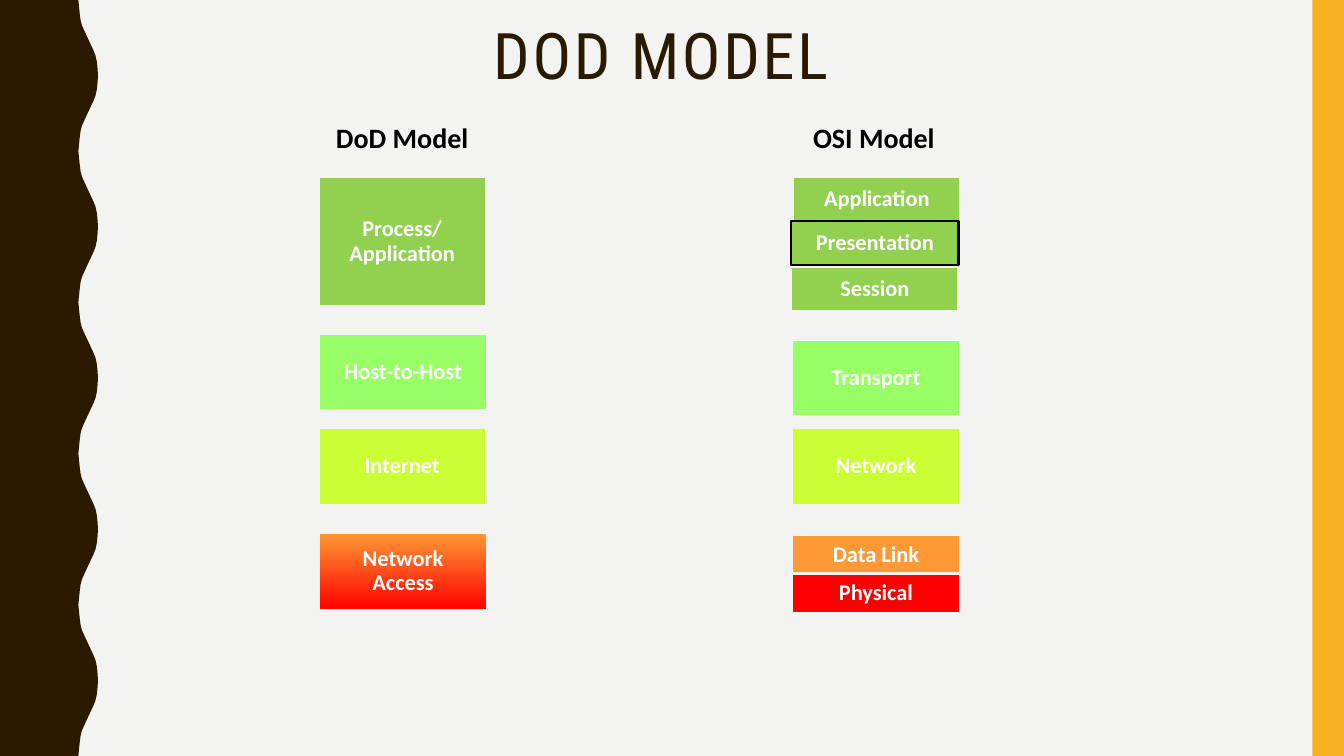
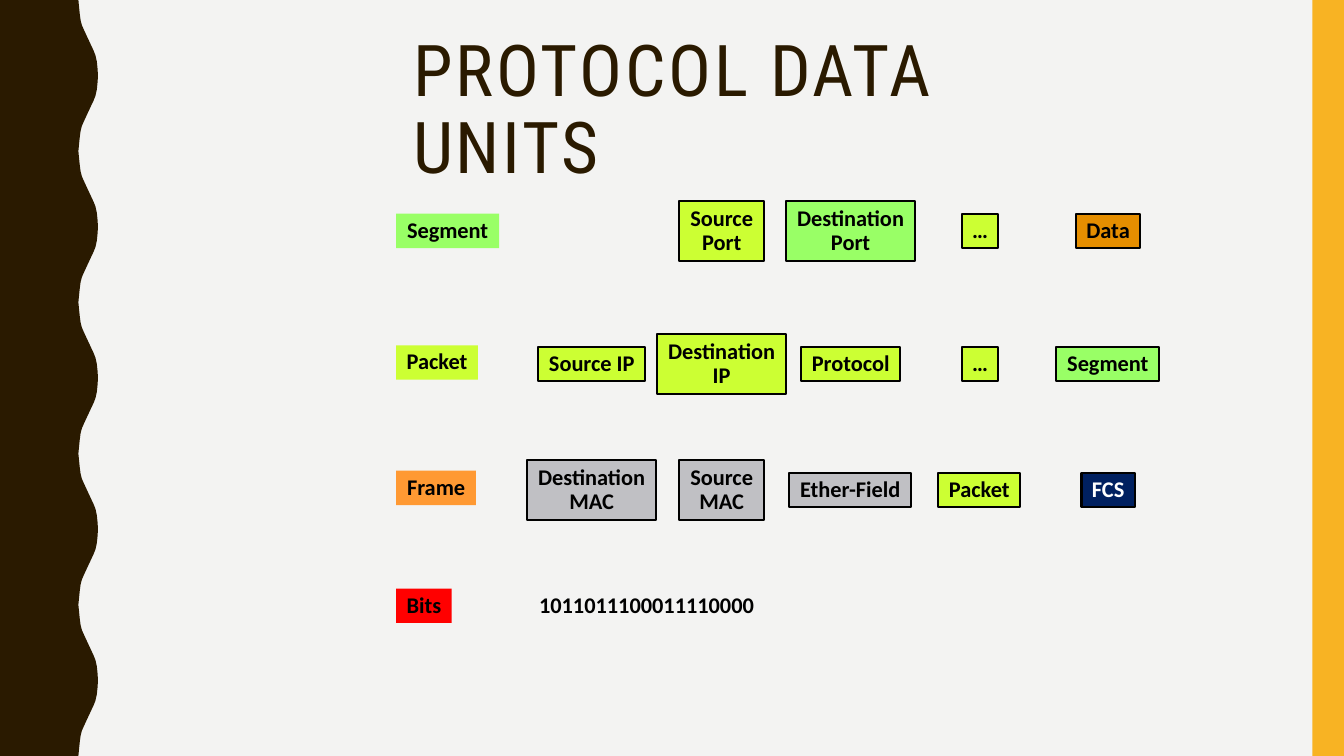
"""Build two slides on the DoD model and protocol data units."""
from pptx import Presentation
from pptx import util as u
from pptx.dml import color
from pptx.enum import shapes, text

DARK, GOLD, PAPER = "2A1A00", "F8B323", "F3F3F2"
BLACK, WHITE, GREY, NAVY = "000000", "FFFFFF", "C0C0C4", "002060"
LEAF, MINT, LIME = "92D050", "99FF66", "CCFF33"
ORANGE, RED, AMBER = "FF9933", "FF0000", "E58E00"
RECTANGLE = shapes.MSO_SHAPE.RECTANGLE
CENTER, LEFT = text.PP_ALIGN.CENTER, text.PP_ALIGN.LEFT


def rgb(value):
    return color.RGBColor.from_string(value)


def add_box(page, words, left, top, width, height, fill=None, line=None,
            ink=BLACK, size=16, font="Calibri", bold=True, align=CENTER):
    frame_at = [u.Pt(v) for v in (left, top, width, height)]
    if fill:
        box = page.shapes.add_shape(RECTANGLE, *frame_at)
        box.shadow.inherit = False
        box.fill.solid()
        box.fill.fore_color.rgb = rgb(fill)
        if line:
            box.line.color.rgb = rgb(line)
            box.line.width = u.Pt(1.5)
        else:
            box.line.fill.background()
    else:
        box = page.shapes.add_textbox(*frame_at)
    frame = box.text_frame
    frame.word_wrap = False
    frame.vertical_anchor = text.MSO_ANCHOR.MIDDLE
    frame.text = words
    for para in frame.paragraphs:
        para.alignment = align
        para.line_spacing = 0.9
        for span in para.runs:
            span.font.name = font
            span.font.size = u.Pt(size)
            span.font.bold = bold
            span.font.color.rgb = rgb(ink)
    return box


deck = Presentation()
deck.slide_width, deck.slide_height = u.Pt(960), u.Pt(540)
background = deck.slide_master.background.fill
background.solid()
background.fore_color.rgb = rgb(PAPER)

PERIOD = 108
rise = [(56, 0), (56.5, 5), (57, 10), (57.6, 14.5), (58.5, 18), (59.8, 21),
        (61.2, 24), (62.6, 27), (64, 30), (65.4, 33), (66.8, 36),
        (68.2, 39.5), (69.2, 44), (69.7, 49), (70, 54)]
wave = rise + [(x, PERIOD - y) for x, y in reversed(rise[:-1])]
edge = [(x, y + PERIOD * turn) for turn in range(5) for x, y in wave]

titles = [
    ("DOD MODEL", 82, 13.7, 780, 116.6, 45.9, CENTER),
    ("PROTOCOL DATA UNITS", 288, 21.6, 516, 90, 51, LEFT),
]
pages = []
for words, left, top, width, height, size, align in titles:
    page = deck.slides.add_slide(deck.slide_layouts[6])
    outline = page.shapes.build_freeform(0, 0, scale=1)
    outline.add_line_segments([(u.Pt(x), u.Pt(y)) for x, y in edge + [(0, 540)]])
    band = outline.convert_to_shape()
    stripe = page.shapes.add_shape(RECTANGLE, u.Pt(937.5), 0, u.Pt(22.5), u.Pt(540))
    for panel, fill in ((band, DARK), (stripe, GOLD)):
        panel.shadow.inherit = False
        panel.fill.solid()
        panel.fill.fore_color.rgb = rgb(fill)
        panel.line.fill.background()
    title = add_box(page, words, left, top, width, height, ink=DARK, size=size,
                    font="Roboto Condensed", bold=False, align=align)
    title.text_frame.word_wrap = True
    title.text_frame.vertical_anchor = text.MSO_ANCHOR.TOP
    for span in title.text_frame.paragraphs[0].runs:
        span._r.get_or_add_rPr().set("spc", "200")
    pages.append(page)
models, units = pages

for words, left, width in (("DoD Model", 216, 142.5), ("OSI Model", 558, 132.5)):
    add_box(models, words, left, 85, width, 29, size=20)

layers = [
    ("Process/\nApplication", 227.5, 126.7, 92, LEAF, PAPER),
    ("Host-to-Host", 228.2, 238.3, 54.7, MINT, PAPER),
    ("Internet", 227.5, 306, 54.7, LIME, PAPER),
    ("Network\nAccess", 228.2, 380.9, 54.7, RED, PAPER),
    ("Application", 566.6, 126.7, 31.7, LEAF, PAPER),
    ("Presentation", 565.2, 157.7, 31.7, LEAF, BLACK),
    ("Session", 565.2, 190.8, 31.7, LEAF, PAPER),
    ("Transport", 566, 242.6, 54.7, MINT, PAPER),
    ("Network", 566, 306, 54.7, LIME, PAPER),
    ("Data Link", 566, 382.3, 28, ORANGE, PAPER),
    ("Physical", 566, 409.7, 28, RED, PAPER),
]
for words, left, top, height, fill, line in layers:
    box = add_box(models, words, left, top, 119.5, height, fill, line, WHITE)
    if words == "Network\nAccess":
        box.fill.gradient()
        box.fill.gradient_angle = 270
        for stop, shade in zip(box.fill.gradient_stops, (ORANGE, RED)):
            stop.color.rgb = rgb(shade)

LINE_HEIGHT, PADDING = 17.8, 6.8
unit_rows = [
    ("Segment", 73.5, MINT, 165, 165, [
        ("Source\nPort", 485.3, 60.5, LIME),
        ("Destination\nPort", 561.6, 92, MINT),
        ("…", 687, 26, LIME),
        ("Data", 768.5, 46, AMBER)]),
    ("Packet", 58.3, LIME, 259, 260, [
        ("Source IP", 384.5, 76.5, LIME),
        ("Destination\nIP", 469.5, 92, LIME),
        ("Protocol", 572.4, 70.5, LIME),
        ("…", 687, 26, LIME),
        ("Segment", 754.6, 73.5, MINT)]),
    ("Frame", 57, ORANGE, 348.5, 350, [
        ("Destination\nMAC", 376.6, 92, GREY),
        ("Source\nMAC", 485.3, 60.5, GREY),
        ("Ether-Field", 563.8, 87, GREY),
        ("Packet", 670.3, 58.3, LIME),
        ("FCS", 772.5, 38, NAVY)]),
    ("Bits", 39.6, RED, 432.7, 432.7, [
        ("1011011100011110000", 376.6, 170.6, None)]),
]
for label, label_width, label_fill, label_middle, middle, fields in unit_rows:
    cells = [(label, 283, label_width, label_fill, label_middle, None)]
    cells += [(*field, middle, BLACK) for field in fields]
    for words, left, width, fill, center, line in cells:
        height = PADDING + LINE_HEIGHT * len(words.split("\n"))
        add_box(units, words, left, center - height / 2, width, height, fill,
                line, WHITE if fill == NAVY else BLACK)

deck.save("out.pptx")
